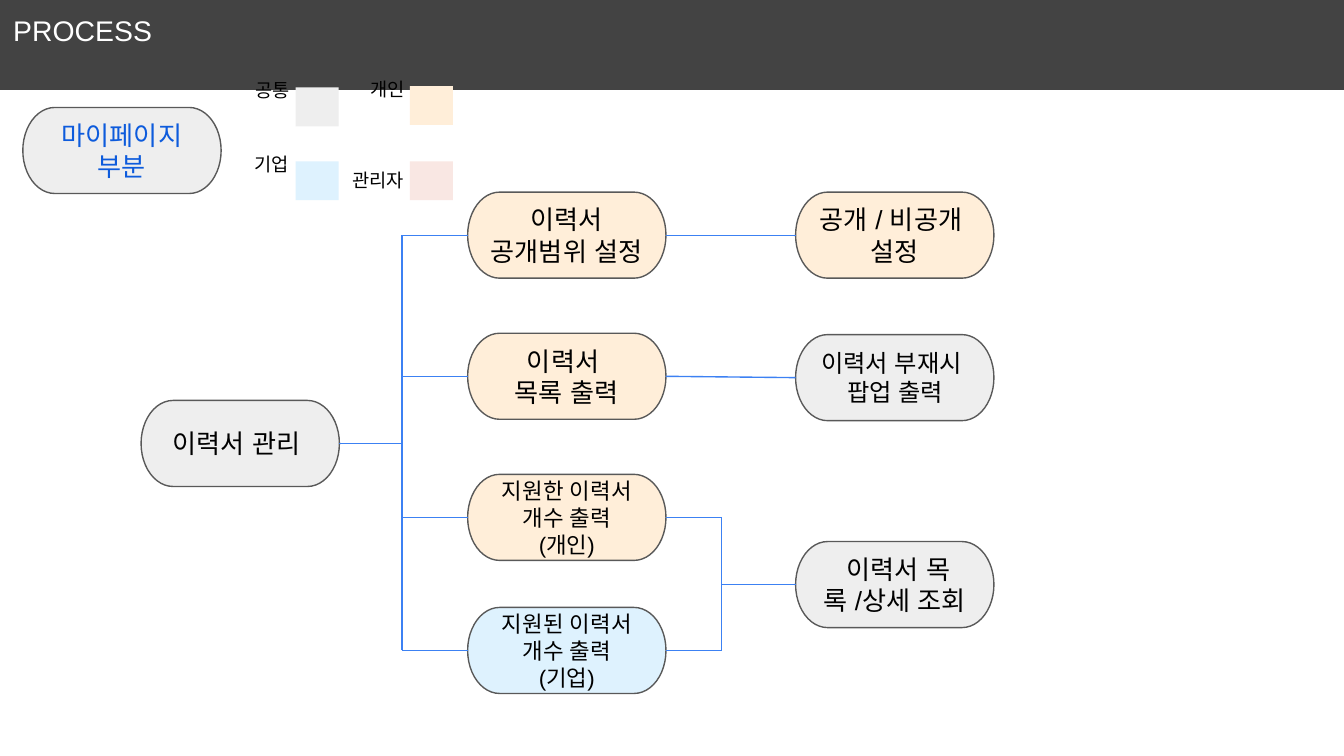
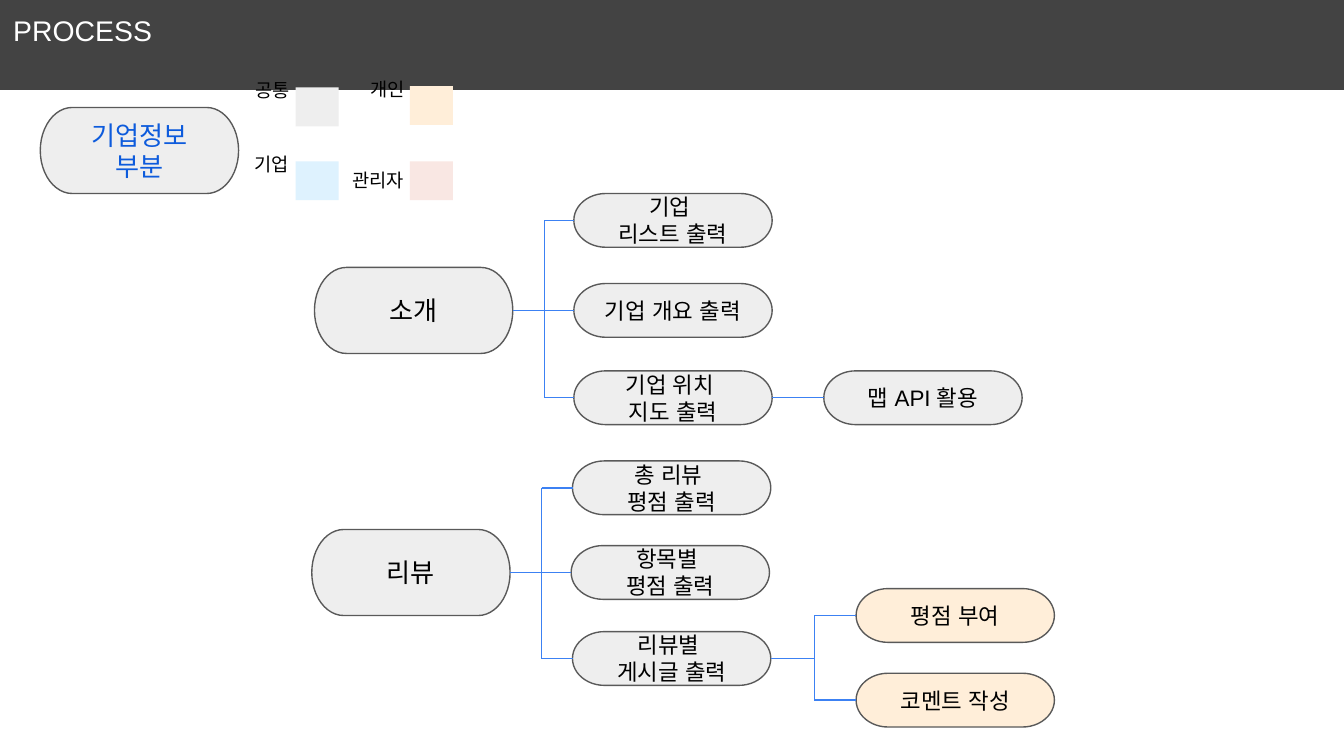
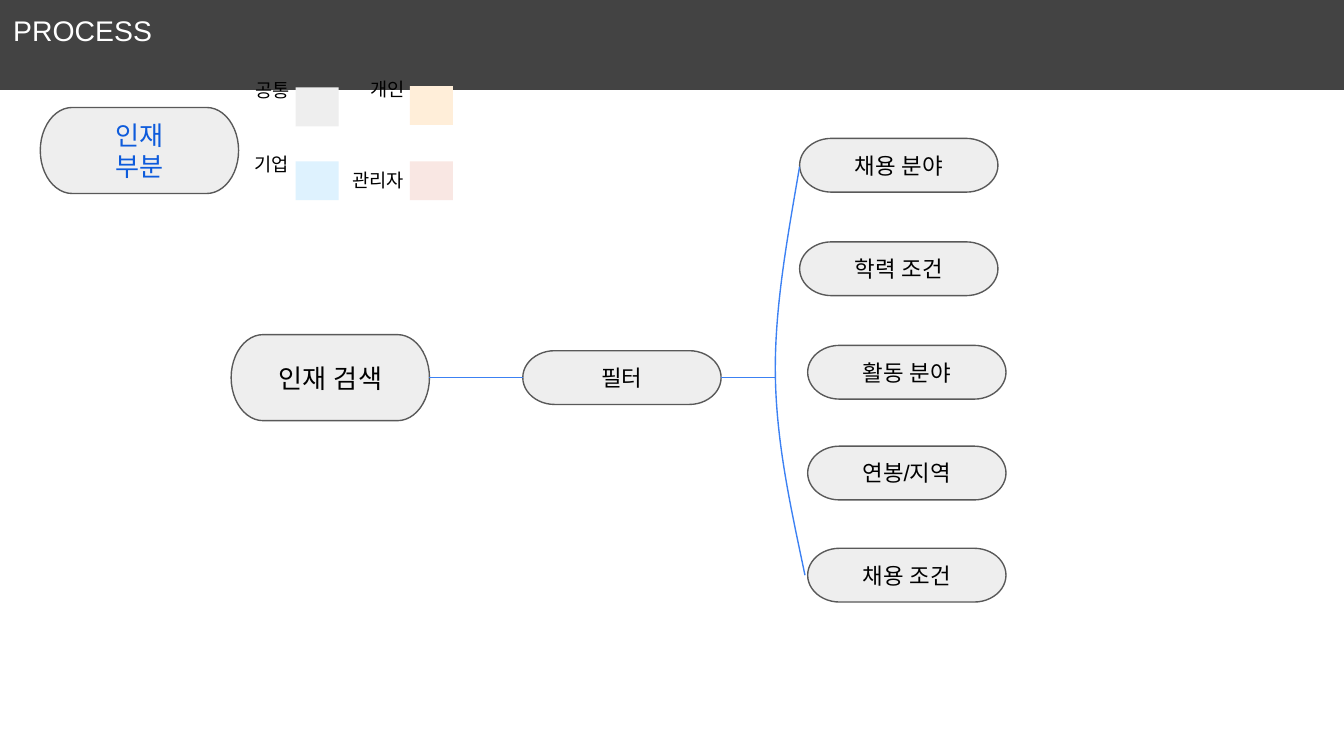
from lxml.etree import SubElement
from pptx import Presentation
from pptx.dml.color import RGBColor
from pptx.enum.shapes import MSO_CONNECTOR, MSO_SHAPE
from pptx.enum.text import MSO_ANCHOR, PP_ALIGN
from pptx.oxml.ns import qn
from pptx.util import Inches, Pt

COLORS = {
    "band": "434343",
    "white": "FFFFFF",
    "black": "000000",
    "topic": "0D5BDC",
    "outline": "595959",
    "line": "3C81F3",
    "common": "EEEEEE",
    "person": "FFEED9",
    "company": "DEF2FE",
    "admin": "F9E7E3",
}
FONT = "Arial"
NODE_WIDTH = 1.475
TALL, SHORT = 0.64, 0.4
LEGEND = [
    ("공통", "common", (1.78, 0.55, 0.5), (2.2, 0.65), MSO_ANCHOR.TOP),
    ("개인", "person", (2.63, 0.54, 0.5), (3.05, 0.64), MSO_ANCHOR.TOP),
    ("기업", "company", (1.77, 1.1, 0.5), (2.2, 1.2), MSO_ANCHOR.TOP),
    ("관리자", "admin", (2.49, 1.12, 0.64), (3.05, 1.2), MSO_ANCHOR.MIDDLE),
]


def color(name):
    return RGBColor.from_string(COLORS[name])


def write(box, lines, size, ink, align, anchor, inset):
    frame = box.text_frame
    frame.word_wrap = True
    frame.vertical_anchor = anchor
    frame.margin_left = frame.margin_right = Inches(inset)
    frame.margin_top = frame.margin_bottom = Inches(inset)
    for index, line in enumerate(lines):
        para = frame.paragraphs[0] if index == 0 else frame.add_paragraph()
        para.alignment = align
        span = para.add_run()
        span.text = line
        span.font.size = Pt(size)
        span.font.name = FONT
        span.font.color.rgb = color(ink)
        SubElement(span.font._element, qn("a:ea"), typeface=FONT)


def add_box(shapes, preset, left, top, width, height, fill, outlined=False):
    box = shapes.add_shape(preset, Inches(left), Inches(top), Inches(width), Inches(height))
    box.shadow.inherit = False
    box.fill.solid()
    box.fill.fore_color.rgb = color(fill)
    if outlined:
        box.line.color.rgb = color("outline")
        box.line.width = Pt(0.75)
    else:
        box.line.fill.background()
    return box


def add_node(page, left, top, text, fill="common", height=TALL, size=None, ink="black"):
    box = add_box(page.shapes, MSO_SHAPE.FLOWCHART_TERMINATOR,
                  left, top, NODE_WIDTH, height, fill, outlined=True)
    size = size or (14 if height == TALL else 12)
    write(box, text.split("\n"), size, ink, PP_ALIGN.CENTER, MSO_ANCHOR.MIDDLE, 0.1)
    return box


def left_end(box):
    return box.left, box.top + box.height // 2


def right_end(box):
    return box.left + box.width, box.top + box.height // 2


def add_line(page, start, end):
    line = page.shapes.add_connector(MSO_CONNECTOR.STRAIGHT, *start, *end)
    line.line.color.rgb = color("line")
    line.line.width = Pt(0.75)
    SubElement(line._element.spPr, qn("a:effectLst"))


def link(page, source, target):
    add_line(page, right_end(source), left_end(target))


def join(page, sources, targets, spine):
    spine = Inches(spine)
    ends = [right_end(box) for box in sources] + [left_end(box) for box in targets]
    heights = [y for x, y in ends]
    add_line(page, (spine, min(heights)), (spine, max(heights)))
    for x, y in ends:
        add_line(page, (min(x, spine), y), (max(x, spine), y))


def add_curve(page, start, *points):
    builder = page.shapes.build_freeform(Inches(start[0]), Inches(start[1]))
    builder.add_line_segments([(Inches(x), Inches(y)) for x, y in points], close=False)
    curve = builder.convert_to_shape()
    curve.shadow.inherit = False
    curve.fill.background()
    curve.line.color.rgb = color("line")
    curve.line.width = Pt(0.75)
    segments = list(curve._element.iter(qn("a:lnTo")))
    for first in range(0, len(segments), 3):
        bend = SubElement(segments[first].getparent(), qn("a:cubicBezTo"))
        for segment in segments[first:first + 3]:
            bend.append(segment[0])
            segment.getparent().remove(segment)


def add_legend(page):
    group = page.shapes.add_group_shape()
    for name, fill, (left, top, width), swatch, anchor in LEGEND:
        label = group.shapes.add_textbox(Inches(left), Inches(top), Inches(width), Inches(0.44))
        write(label, [name], 10, "black", PP_ALIGN.CENTER, anchor, 0.04)
        add_box(group.shapes, MSO_SHAPE.RECTANGLE, *swatch, 0.32, 0.29, fill)


def add_page(deck, topic, topic_left):
    page = deck.slides.add_slide(deck.slide_layouts[6])
    band = add_box(page.shapes, MSO_SHAPE.RECTANGLE, 0, 0, 10, 0.67, "band")
    write(band, ["PROCESS"], 15.2, "white", PP_ALIGN.LEFT, MSO_ANCHOR.TOP, 0.1)
    add_node(page, topic_left, 0.8, topic, ink="topic")
    return page


def build_my_page(deck):
    page = add_page(deck, "마이페이지 부분", 0.17)
    manage = add_node(page, 1.05, 2.98, "이력서 관리 ")
    scope = add_node(page, 3.48, 1.43, "이력서 공개범위 설정", "person")
    listing = add_node(page, 3.48, 2.48, "이력서 \n목록 출력", "person")
    sent = add_node(page, 3.48, 3.53, "지원한 이력서 개수 출력\n(개인)", "person", size=12)
    received = add_node(page, 3.48, 4.52, "지원된 이력서 개수 출력\n(기업)", "company", size=12)
    visibility = add_node(page, 5.92, 1.43, "공개 / 비공개 \n설정", "person")
    popup = add_node(page, 5.92, 2.49, "이력서 부재시 \n팝업 출력", size=13)
    detail = add_node(page, 5.92, 4.03, " 이력서 목록 /상세 조회")
    join(page, [manage], [scope, listing, sent, received], 2.99)
    link(page, scope, visibility)
    link(page, listing, popup)
    join(page, [sent, received], [detail], 5.37)
    add_legend(page)


def build_company_page(deck):
    page = add_page(deck, "기업정보\n부분", 0.3)
    intro = add_node(page, 2.34, 1.99, "소개")
    intro_items = [
        add_node(page, 4.27, top, text, height=SHORT)
        for top, text in [(1.44, "기업 \n리스트 출력"), (2.11, "기업 개요 출력"),
                          (2.76, "기업 위치 \n지도 출력")]
    ]
    map_use = add_node(page, 6.13, 2.76, "맵 API 활용", height=SHORT)
    review = add_node(page, 2.32, 3.94, "리뷰")
    review_items = [
        add_node(page, left, top, text, height=SHORT)
        for left, top, text in [(4.26, 3.43, "총 리뷰 \n평점 출력"),
                                (4.25, 4.06, "항목별 \n평점 출력"),
                                (4.26, 4.7, "리뷰별 \n게시글 출력")]
    ]
    actions = [
        add_node(page, 6.37, top, text, "person", SHORT)
        for top, text in [(4.38, "평점 부여"), (5.01, "코멘트 작성")]
    ]
    join(page, [intro], intro_items, 4.05)
    link(page, intro_items[-1], map_use)
    join(page, [review], review_items, 4.03)
    join(page, review_items[-1:], actions, 6.06)
    add_legend(page)


def build_talent_page(deck):
    page = add_page(deck, "인재\n부분", 0.3)
    search = add_node(page, 1.72, 2.49, "인재 검색")
    criteria = add_node(page, 3.89, 2.61, "필터", height=SHORT)
    for left, top, text in [(5.95, 1.03, "채용 분야"), (5.95, 1.8, "학력 조건"),
                            (6.01, 2.57, "활동 분야"), (6.01, 3.32, "연봉/지역"),
                            (6.01, 4.08, "채용 조건")]:
        add_node(page, left, top, text, height=SHORT)
    link(page, search, criteria)
    add_curve(page, (5.95, 1.24), (5.86, 1.77), (5.76, 2.3), (5.77, 2.81),
              (5.78, 3.32), (5.89, 3.8), (5.99, 4.28))
    add_line(page, right_end(criteria), (Inches(5.77), Inches(2.81)))
    add_legend(page)


def main():
    deck = Presentation()
    deck.slide_width = Inches(10)
    deck.slide_height = deck.slide_width * 9 // 16
    build_my_page(deck)
    build_company_page(deck)
    build_talent_page(deck)
    deck.save("out.pptx")


main()
